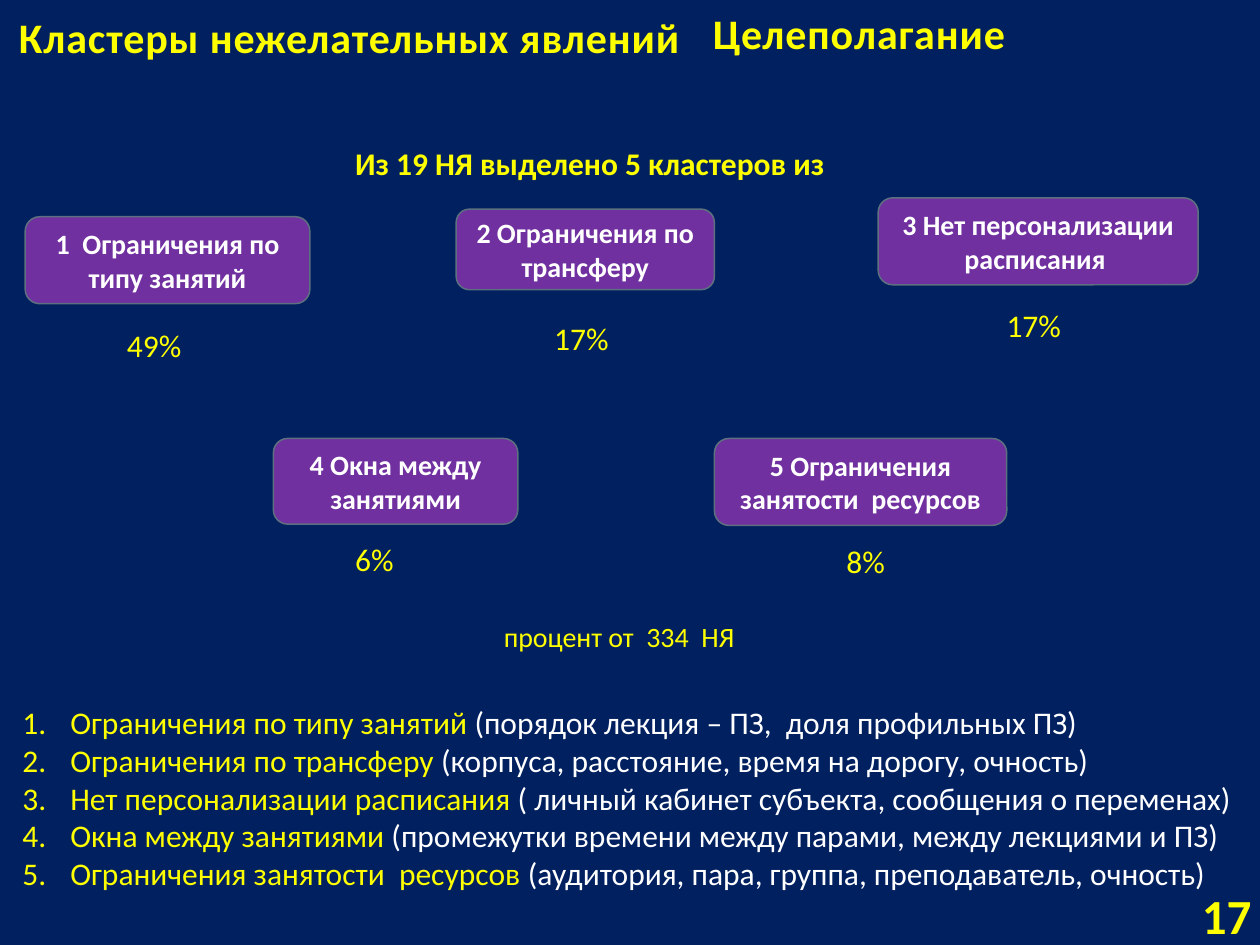
from lxml import etree
from pptx import Presentation
from pptx.dml.color import RGBColor
from pptx.enum.shapes import MSO_SHAPE
from pptx.enum.text import MSO_ANCHOR, PP_ALIGN
from pptx.oxml.ns import qn
from pptx.util import Inches, Pt

ROUNDED = MSO_SHAPE.ROUNDED_RECTANGLE
MIDDLE, TOP = MSO_ANCHOR.MIDDLE, MSO_ANCHOR.TOP
LEFT, CENTER, RIGHT = PP_ALIGN.LEFT, PP_ALIGN.CENTER, PP_ALIGN.RIGHT
TITLE_ONLY = 5
FONT = "Calibri"
NAVY, PURPLE, SLATE = "002060", "7030A0", "5D7080"
YELLOW, WHITE = "FFFF00", "FFFFFF"

CLUSTERS = [
    ("1  Ограничения по типу занятий", (0.2, 1.72, 2.26, 0.69), "49%", (0.91, 2.54)),
    ("2 Ограничения по трансферу", (3.62, 1.66, 2.05, 0.64), "17%", (4.3, 2.48)),
    ("3 Нет персонализации расписания ", (6.97, 1.57, 2.54, 0.69), "17%", (7.89, 2.38)),
    ("4 Окна между занятиями", (2.17, 3.48, 1.94, 0.68), "6%", (2.72, 4.24)),
    ("5 Ограничения занятости  ресурсов", (5.67, 3.48, 2.32, 0.69), "8%", (6.62, 4.25)),
]
DETAILS = [
    ("Ограничения по типу занятий ", "(порядок лекция – ПЗ,  доля профильных ПЗ)"),
    ("Ограничения по трансферу ", "(корпуса, расстояние, время на дорогу, очность)"),
    ("Нет персонализации расписания ", "( личный кабинет субъекта, сообщения о переменах)"),
    ("Окна между занятиями", " (промежутки времени между парами, между лекциями и ПЗ)"),
    ("Ограничения занятости  ресурсов ", "(аудитория, пара, группа, преподаватель, очность)"),
]


def color(value):
    return RGBColor.from_string(value)


def add_span(para, text, size, shade=YELLOW, bold=False, spacing=0):
    span = para.add_run()
    span.text = text
    span.font.name = FONT
    span.font.size = Pt(size)
    span.font.bold = bold
    span.font.color.rgb = color(shade)
    if spacing:
        span.font._element.set("spc", str(spacing))


def write_line(shape, text, size, align=LEFT, anchor=TOP, wrap=True, **style):
    frame = shape.text_frame
    frame.word_wrap = wrap
    frame.vertical_anchor = anchor
    para = frame.paragraphs[0]
    para.alignment = align
    add_span(para, text, size, **style)


def add_box(page, place):
    return page.shapes.add_textbox(*map(Inches, place))


def add_cluster(page, name, place, share, corner):
    shape = page.shapes.add_shape(ROUNDED, *map(Inches, place))
    shape.shadow.inherit = False
    shape.fill.solid()
    shape.fill.fore_color.rgb = color(PURPLE)
    shape.line.color.rgb = color(SLATE)
    shape.line.width = Pt(0.85)
    write_line(shape, name, 16, CENTER, MIDDLE, shade=WHITE, bold=True)
    write_line(add_box(page, (*corner, 0.7, 0.4)), share, 18)


def number_paragraph(para):
    properties = para._p.get_or_add_pPr()
    properties.set("marL", str(Inches(0.38)))
    properties.set("indent", str(-Inches(0.38)))
    etree.SubElement(properties, qn("a:buFont"), typeface="+mj-lt")
    etree.SubElement(properties, qn("a:buAutoNum"), type="arabicPeriod")


def add_details(page):
    frame = add_box(page, (0.08, 5.53, 9.93, 1.62)).text_frame
    frame.word_wrap = True
    for index, (name, detail) in enumerate(DETAILS):
        para = frame.add_paragraph() if index else frame.paragraphs[0]
        number_paragraph(para)
        add_span(para, name, 18)
        add_span(para, detail, 18, WHITE)


def place_title(page):
    title = page.shapes.title
    title.left, title.top, title.width, title.height = map(Inches, (0.05, -0.05, 5.66, 0.68))
    write_line(title, "Кластеры нежелательных явлений", 24, LEFT, MIDDLE, False, bold=True, spacing=50)


def main():
    deck = Presentation()
    deck.slide_width, deck.slide_height = Inches(10), Inches(7.5)
    page = deck.slides.add_slide(deck.slide_layouts[TITLE_ONLY])
    page.background.fill.solid()
    page.background.fill.fore_color.rgb = color(NAVY)
    place_title(page)
    write_line(add_box(page, (5.56, 0, 2.6, 0.52)), "Целеполагание", 24,
               anchor=MIDDLE, bold=True, spacing=50)
    write_line(add_box(page, (2.72, 1.09, 4.02, 0.4)), "Из 19 НЯ выделено 5 кластеров из", 18, bold=True)
    for cluster in CLUSTERS:
        add_cluster(page, *cluster)
    write_line(add_box(page, (3.9, 4.87, 2.35, 0.37)), "процент от  334  НЯ", 16)
    add_details(page)
    write_line(add_box(page, (9.08, 7.06, 0.95, 0.4)), "17", 28, RIGHT, MIDDLE, bold=True)
    deck.save("out.pptx")


if __name__ == "__main__":
    main()
